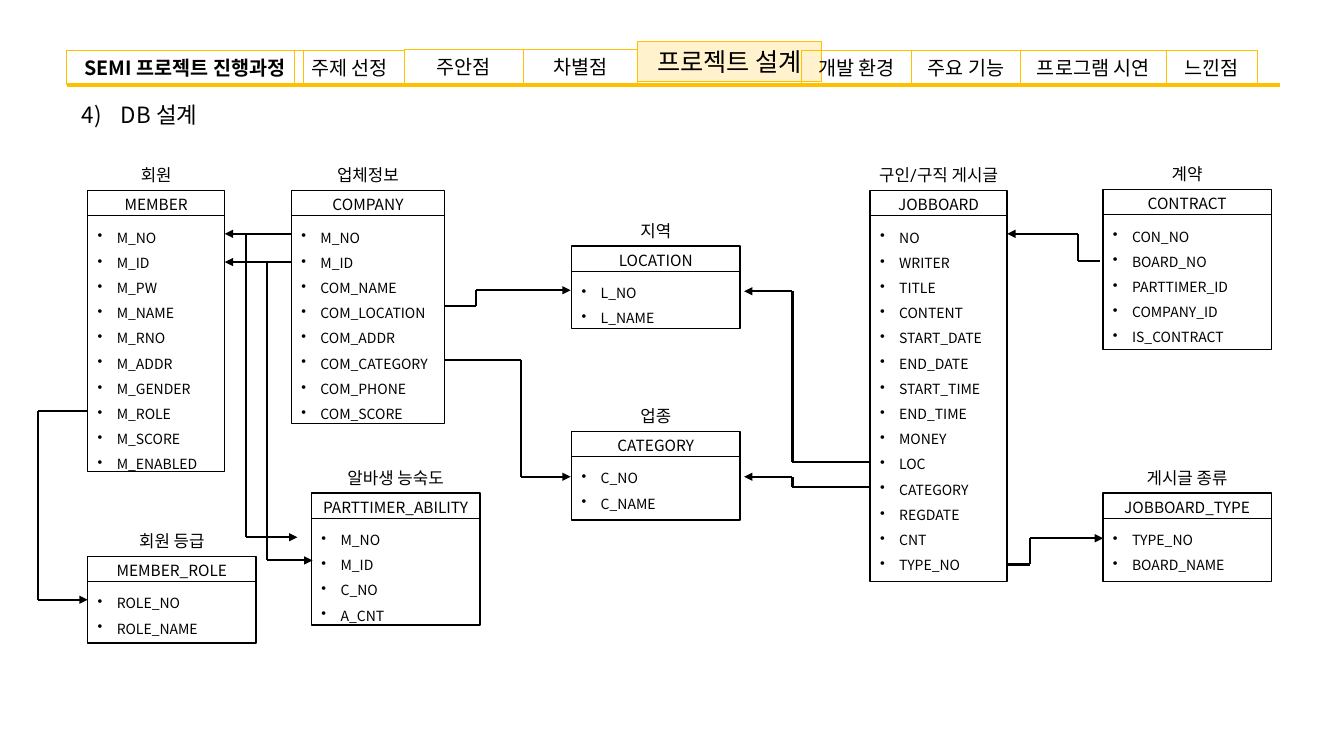
from itertools import pairwise

from lxml import etree
from pptx import Presentation
from pptx.dml.color import RGBColor
from pptx.enum.shapes import MSO_CONNECTOR, MSO_SHAPE
from pptx.enum.text import MSO_ANCHOR, MSO_AUTO_SIZE, PP_ALIGN
from pptx.oxml.ns import qn
from pptx.util import Inches, Pt

STRAIGHT = MSO_CONNECTOR.STRAIGHT
RECTANGLE = MSO_SHAPE.RECTANGLE
TOP, MIDDLE = MSO_ANCHOR.TOP, MSO_ANCHOR.MIDDLE
LEFT, CENTER = PP_ALIGN.LEFT, PP_ALIGN.CENTER
NO_AUTOFIT = MSO_AUTO_SIZE.NONE

BLACK = RGBColor(0x00, 0x00, 0x00)
GOLD = RGBColor(0xFF, 0xC0, 0x00)
CREAM = RGBColor(0xFF, 0xF2, 0xCC)
MAIN_FONT = "Noto Sans CJK KR"
CAPTION_FONT = "Roboto"

HEADER_HEIGHT = 0.25
CAPTION_WIDTH = 1.7
CAPTION_HEIGHT = 0.3
FIELD_INDENT = 0.19

TABS = [
    ("SEMI 프로젝트 진행과정", 0.66, 0.5, 2.35),
    ("주제 선정", 2.92, 0.5, 1.09),
    ("주안점", 4.01, 0.49, 1.18),
    ("차별점", 5.19, 0.49, 1.13),
    ("프로젝트 설계", 6.32, 0.41, 1.83),
    ("개발 환경", 7.95, 0.5, 1.09),
    ("주요 기능", 9.04, 0.5, 1.08),
    ("프로그램 시연", 10.12, 0.5, 1.45),
    ("느낀점", 11.57, 0.5, 0.9),
]
FIRST_TAB, ACTIVE_TAB = TABS[0][0], TABS[4][0]

ENTITIES = [
    ("회원", "MEMBER", (0.87, 1.89, 1.36, 2.79),
     "M_NO M_ID M_PW M_NAME M_RNO M_ADDR M_GENDER M_ROLE M_SCORE M_ENABLED"),
    ("업체정보", "COMPANY", (2.89, 1.89, 1.52, 2.31),
     "M_NO M_ID COM_NAME COM_LOCATION COM_ADDR COM_CATEGORY COM_PHONE COM_SCORE"),
    ("알바생 능숙도", "PARTTIMER_ABILITY", (3.09, 4.89, 1.67, 1.31), "M_NO M_ID C_NO A_CNT"),
    ("회원 등급", "MEMBER_ROLE", (0.87, 5.52, 1.67, 0.86), "ROLE_NO ROLE_NAME"),
    ("지역", "LOCATION", (5.67, 2.44, 1.67, 0.82), "L_NO L_NAME"),
    ("업종", "CATEGORY", (5.67, 4.28, 1.67, 0.88), "C_NO C_NAME"),
    ("구인/구직 게시글", "JOBBOARD", (8.63, 1.89, 1.36, 3.88),
     "NO WRITER TITLE CONTENT START_DATE END_DATE START_TIME END_TIME "
     "MONEY LOC CATEGORY REGDATE CNT TYPE_NO"),
    ("계약", "CONTRACT", (10.94, 1.88, 1.67, 1.59),
     "CON_NO BOARD_NO PARTTIMER_ID COMPANY_ID IS_CONTRACT"),
    ("게시글 종류", "JOBBOARD_TYPE", (10.94, 4.89, 1.67, 0.88), "TYPE_NO BOARD_NAME"),
]

RELATIONS = [
    [(2.89, 2.32), (2.23, 2.32)],
    [(2.89, 2.6), (2.23, 2.6)],
    [(0.87, 4.08), (0.38, 4.08), (0.38, 5.95), (0.87, 5.95)],
    [(2.44, 2.32), (2.44, 5.33), (2.95, 5.33)],
    [(2.65, 2.6), (2.65, 5.56), (3.1, 5.56)],
    [(4.41, 3.57), (5.17, 3.57), (5.17, 4.73), (5.66, 4.73)],
    [(4.41, 3.04), (4.72, 3.04), (4.72, 2.88), (5.66, 2.88)],
    [(8.63, 4.83), (7.86, 4.83), (7.86, 4.73), (7.38, 4.73)],
    [(8.63, 4.58), (7.86, 4.58), (7.86, 2.89), (7.38, 2.89)],
    [(10.91, 2.59), (10.69, 2.59), (10.69, 2.32), (9.99, 2.32)],
    [(9.99, 5.6), (10.22, 5.6), (10.22, 5.34), (10.94, 5.34)],
]


def format_paragraph(paragraph, size, alignment=CENTER, font_name=MAIN_FONT, bold=False):
    paragraph.alignment = alignment
    for run in paragraph.runs:
        run.font.size = Pt(size)
        run.font.name = font_name
        run.font.bold = bold
        run.font.color.rgb = BLACK
        east_asian = etree.SubElement(run.font._element, qn("a:ea"))
        east_asian.set("typeface", MAIN_FONT)


def add_bullet(paragraph, indent, tag, **attributes):
    properties = paragraph._p.get_or_add_pPr()
    properties.set("marL", str(Inches(indent)))
    properties.set("indent", str(-Inches(indent)))
    bullet = etree.SubElement(properties, qn(tag))
    for name, value in attributes.items():
        bullet.set(name, value)


def add_line(slide, start, end, color, width, arrow=False):
    line = slide.shapes.add_connector(STRAIGHT, *map(Inches, start + end))
    line.line.color.rgb = color
    line.line.width = Pt(width)
    if arrow:
        etree.SubElement(line.line._get_or_add_ln(), qn("a:tailEnd")).set("type", "triangle")
    etree.SubElement(line._element.spPr, qn("a:effectLst"))


def add_box(slide, box, color, width, fill=None):
    shape = slide.shapes.add_shape(RECTANGLE, *map(Inches, box))
    shape.shadow.inherit = False
    shape.line.color.rgb = color
    shape.line.width = Pt(width)
    if fill is None:
        shape.fill.background()
    else:
        shape.fill.solid()
        shape.fill.fore_color.rgb = fill
    shape.text_frame.word_wrap = False
    return shape


def add_title(slide, box):
    title = slide.shapes.title
    title.left, title.top, title.width, title.height = map(Inches, box)
    text_frame = title.text_frame
    text_frame.text = "DB 설계"
    text_frame.auto_size = NO_AUTOFIT
    text_frame.vertical_anchor = TOP
    paragraph = text_frame.paragraphs[0]
    format_paragraph(paragraph, 16, LEFT)
    add_bullet(paragraph, 0.39, "a:buAutoNum", type="arabicParenR", startAt="4")


def add_navigation(slide, left, right, baseline):
    add_line(slide, (left, baseline), (right, baseline), GOLD, 3)
    for label, tab_left, tab_top, tab_width in TABS:
        active = label == ACTIVE_TAB
        height = 0.4 if active else 0.34
        tab = add_box(slide, (tab_left, tab_top, tab_width, height), GOLD, 0.75,
                      CREAM if active else None)
        tab.text_frame.text = label
        tab.text_frame.vertical_anchor = MIDDLE
        format_paragraph(tab.text_frame.paragraphs[0], 18 if active else 14,
                         bold=label == FIRST_TAB)


def add_caption(slide, caption, center, bottom):
    box = (center - CAPTION_WIDTH / 2, bottom - CAPTION_HEIGHT, CAPTION_WIDTH, CAPTION_HEIGHT)
    text_frame = slide.shapes.add_textbox(*map(Inches, box)).text_frame
    text_frame.text = caption
    text_frame.word_wrap = True
    text_frame.margin_left = text_frame.margin_right = 0
    format_paragraph(text_frame.paragraphs[0], 12, font_name=CAPTION_FONT)


def add_entity(slide, caption, name, box, fields):
    left, top, width, height = box
    text_frame = add_box(slide, box, BLACK, 1).text_frame
    text_frame.vertical_anchor = TOP
    text_frame.word_wrap = True
    text_frame.text = "\n".join([name, *fields])
    header, *rows = text_frame.paragraphs
    format_paragraph(header, 11)
    header.line_spacing = Pt(13)
    header.space_after = Pt(5)
    for row in rows:
        format_paragraph(row, 10, LEFT)
        row.line_spacing = Pt(18)
        add_bullet(row, FIELD_INDENT, "a:buChar", char="•")
    rule = top + HEADER_HEIGHT
    add_line(slide, (left, rule), (left + width, rule), BLACK, 0.5)
    add_caption(slide, caption, left + width / 2, top)


def add_relation(slide, points):
    for start, end in pairwise(points):
        add_line(slide, start, end, BLACK, 1.5, arrow=end == points[-1])


def main():
    presentation = Presentation()
    presentation.slide_width = Inches(13.33)
    presentation.slide_height = Inches(7.5)
    slide = presentation.slides.add_slide(presentation.slide_layouts[5])
    add_title(slide, (0.71, 0.95, 3.74, 0.37))
    for caption, name, box, fields in ENTITIES:
        add_entity(slide, caption, name, box, fields.split())
    for points in RELATIONS:
        add_relation(slide, points)
    add_navigation(slide, 0.66, 12.7, 0.84)
    presentation.save("out.pptx")


if __name__ == "__main__":
    main()
